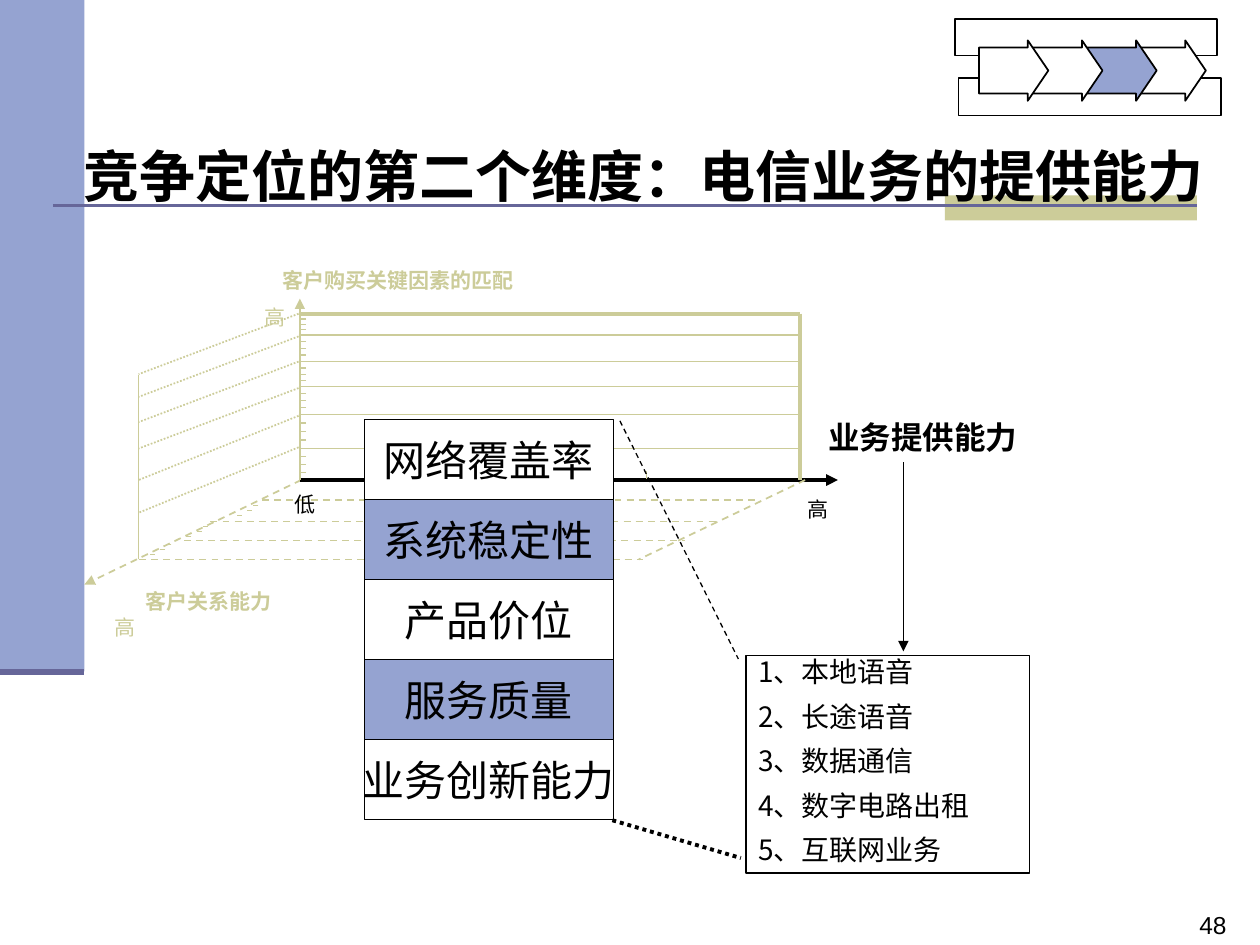
from lxml import etree
from pptx import Presentation
from pptx.dml.color import RGBColor
from pptx.enum.dml import MSO_LINE
from pptx.enum.shapes import MSO_CONNECTOR, MSO_SHAPE
from pptx.enum.text import MSO_ANCHOR, PP_ALIGN
from pptx.oxml.ns import qn
from pptx.util import Inches, Pt

RECT, ARROW = MSO_SHAPE.RECTANGLE, MSO_SHAPE.RIGHT_ARROW
STRAIGHT = MSO_CONNECTOR.STRAIGHT
DASH, DOT = MSO_LINE.DASH, MSO_LINE.ROUND_DOT
LEFT, CENTER = PP_ALIGN.LEFT, PP_ALIGN.CENTER
TOP, MIDDLE = MSO_ANCHOR.TOP, MSO_ANCHOR.MIDDLE
BLACK, WHITE, BLUE, TAN, PURPLE = "000000", "FFFFFF", "95A3D1", "CCCC99", "666699"
SANS = "Noto Sans CJK SC"

TITLE = "竞争定位的第二个维度：电信业务的提供能力"
FACTORS = ["网络覆盖率", "系统稳定性", "产品价位", "服务质量", "业务创新能力"]
SERVICES = ["1、本地语音", "2、长途语音", "3、数据通信", "4、数字电路出租", "5、互联网业务"]
ENDS = [
    ("高", 0.81, 4.83, TAN), ("低", 2.24, 3.85, BLACK),
    ("高", 6.31, 3.89, BLACK), ("高", 2, 2.37, TAN),
]
HEADS = [
    ("客户购买关键因素的匹配", (2.11, 2.1, 2.1, 0.28), 12, TAN),
    ("客户关系能力", (0.87, 4.64, 1.57, 0.28), 12, TAN),
    ("业务提供能力", (6.42, 3.3, 1.81, 0.37), 18, BLACK),
]
LEVELS = [2.49, 2.66, 2.87, 3.07, 3.29, 3.56, 3.81]
SIDES = [(2.49, 2.97), (2.67, 3.15), (2.87, 3.35), (3.08, 3.56), (3.3, 3.81), (3.55, 4.07)]
FLOORS = [(1.1, 5.1, 4.44), (1.46, 5.44, 4.29), (1.67, 5.68, 4.14), (2.08, 6.03, 3.97)]
MARKS = [(2.05, 4.01), (1.65, 4.18), (1.36, 4.32)]
STEPS = [(0, 0), (-0.05, 0.04), (-0.13, 0.08)]
CHAIN = [(9.02, WHITE), (8.63, BLUE), (8.2, WHITE), (7.77, WHITE)]

deck = Presentation()
deck.slide_width, deck.slide_height = Inches(10), Inches(7.5)
slide = deck.slides.add_slide(deck.slide_layouts[5])
shapes = slide.shapes


def rgb(code):
    """Turn a hex string into a colour."""
    return RGBColor.from_string(code)


def line(x1, y1, x2, y2, color=TAN, width=1, dash=None, arrow=False):
    """Draw a straight line, with an arrowhead at its end if asked."""
    rule = shapes.add_connector(STRAIGHT, *map(Inches, (x1, y1, x2, y2)))
    rule.line.color.rgb = rgb(color)
    rule.line.width = Pt(width)
    if dash:
        rule.line.dash_style = dash
    if arrow:
        etree.SubElement(rule.line._get_or_add_ln(), qn("a:tailEnd"), type="triangle")
    etree.SubElement(rule._element.spPr, qn("a:effectLst"))


def box(x, y, w, h, fill=None, edge=None, kind=RECT, width=0.75):
    """Draw a preset shape with optional fill and outline."""
    shape = shapes.add_shape(kind, *map(Inches, (x, y, w, h)))
    shape.shadow.inherit = False
    if fill:
        shape.fill.solid()
        shape.fill.fore_color.rgb = rgb(fill)
    else:
        shape.fill.background()
    if edge:
        shape.line.color.rgb = rgb(edge)
        shape.line.width = Pt(width)
    else:
        shape.line.fill.background()
    return shape


def write(shape, lines, size, font, color=BLACK, bold=False, align=LEFT,
          anchor=TOP, wrap=True, lead=None, gap=0):
    """Fill a shape with one paragraph for each line."""
    frame = shape.text_frame
    frame.word_wrap = wrap
    frame.vertical_anchor = anchor
    for i, text in enumerate(lines):
        para = frame.add_paragraph() if i else frame.paragraphs[0]
        para.alignment = align
        para.space_before = Pt(gap if i else 0)
        if lead:
            para.line_spacing = lead
        run = para.add_run()
        run.text = text
        run.font.size, run.font.bold, run.font.name = Pt(size), bold, font
        run.font.color.rgb = rgb(color)
        if font == SANS:
            etree.SubElement(run._r.rPr, qn("a:ea"), typeface=font)


def label(text, place, size, font, **style):
    """Add a text box holding one line."""
    write(shapes.add_textbox(*map(Inches, place)), [text], size, font, **style)


def frame():
    """Draw the side band, title rule, title and page number."""
    box(0, 0, 0.67, 5.33, BLUE)
    box(7.5, 1.55, 2, 0.2, TAN)
    line(0.42, 1.63, 9.5, 1.63, PURPLE, 1.5)
    line(0, 5.33, 0.67, 5.33, PURPLE, 3.5)
    label("48", (9.42, 7.17, 0.83, 0.34), 14, "Arial")
    title = shapes.title
    title.left, title.top, title.width, title.height = map(Inches, (0.56, 1.07, 9.17, 0.64))
    write(title, [TITLE], 32, SANS, bold=True, anchor=MIDDLE)
    shapes._spTree.append(title._element)


def space():
    """Draw the three axes with their planes, ticks and labels."""
    line(2.39, 3.81, 0.67, 4.64, dash=DASH, arrow=True)
    line(2.38, 3.81, 6.65, 3.81, BLACK, 2.25, arrow=True)
    line(2.38, 3.81, 2.38, 2.37, arrow=True)
    line(6.39, 3.81, 5.07, 4.44, dash=DASH)
    line(2.38, 2.49, 6.35, 2.49, width=2.25)
    line(6.35, 2.49, 6.35, 3.81, width=2.25)
    line(1.1, 2.98, 1.1, 4.44)
    line(5.13, 3.74, 5.13, 3.8, width=0.75)
    for left, right, y in FLOORS:
        line(left, y, right, y, dash=DASH)
    for back, front in SIDES:
        line(2.37, back, 1.1, front, dash=DOT)
    for y in LEVELS[1:-1]:
        line(2.37, y, 6.35, y, width=0.75)
    for low, high in zip(LEVELS, LEVELS[1:]):
        for part in (0.25, 0.5, 0.75):
            y = low + (high - low) * part
            line(2.43, y, 2.39, y, width=0.75)
    for x, y in MARKS:
        for dx, dy in STEPS:
            line(x + dx, y + dy, x + dx - 0.04, y + dy, width=0.75)
    for text, x, y, color in ENDS:
        label(text, (x, y, 0.36, 0.3), 12, "Arial", color=color, wrap=False)
    for text, place, size, color in HEADS:
        label(text, place, size, "Karla", color=color, bold=True, align=CENTER, lead=0.9)


def chain():
    """Draw the step arrows in the corner."""
    box(7.58, 0.15, 2.08, 0.29, WHITE, BLACK)
    box(7.61, 0.62, 2.08, 0.3, WHITE, BLACK)
    for x, fill in CHAIN:
        arrow = box(x, 0.32, 0.55, 0.48, fill, BLACK, ARROW, 1)
        arrow.adjustments[0], arrow.adjustments[1] = 0.76, 0.34


def detail():
    """Draw the factor stack and the service list it opens into."""
    high = 0.635
    for i, text in enumerate(FACTORS):
        cell = box(2.89, 3.33 + i * high, 1.98, high, BLUE if i % 2 else WHITE, BLACK)
        write(cell, [text], 24, SANS, align=CENTER, anchor=MIDDLE, wrap=False)
    line(4.92, 3.34, 5.86, 5.23, BLACK, 0.75, DASH)
    line(4.86, 6.51, 5.88, 6.81, BLACK, 2.25, DOT)
    line(7.17, 3.67, 7.17, 5.17, BLACK, 0.75, arrow=True)
    panel = box(5.92, 5.2, 2.25, 1.73, edge=BLACK)
    write(panel, SERVICES, 16, SANS, lead=0.8, gap=10)


frame()
space()
chain()
detail()
deck.save("out.pptx")
